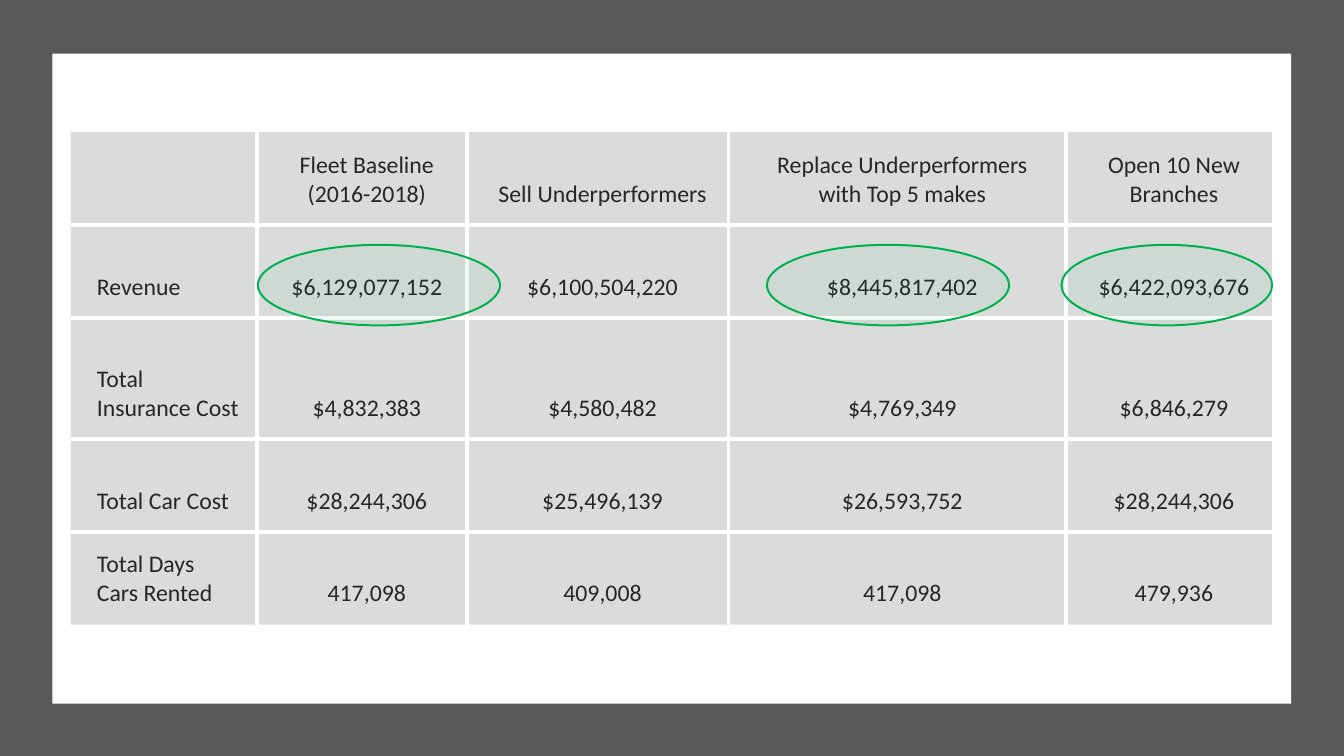
from dataclasses import dataclass

from lxml.etree import SubElement
from pptx import Presentation
from pptx.dml.color import RGBColor
from pptx.enum.shapes import MSO_SHAPE as Preset
from pptx.enum.text import MSO_ANCHOR as Anchor, PP_ALIGN as Align
from pptx.oxml import parse_xml
from pptx.oxml.ns import nsdecls, qn
from pptx.util import Cm, Pt

WHITE = "FFFFFF"
FRAME_GREY = "595959"
CELL_GREY = "878E8B"
TEXT_GREY = "262626"
GREEN = "00B050"

SLIDE_WIDTH, SLIDE_HEIGHT = 33.87, 19.05
TABLE_LEFT, TABLE_TOP = 1.78, 3.33
COLUMN_WIDTHS = [4.7, 5.28, 6.6, 8.51, 5.18]
ROW_HEIGHTS = [2.34, 2.34, 3.05, 2.34, 2.34]
ROWS = [
    ["", "Fleet Baseline (2016-2018)", "Sell Underperformers",
     "Replace Underperformers with Top 5 makes", "Open 10 New Branches"],
    ["Revenue", "$6,129,077,152", "$6,100,504,220", "$8,445,817,402", "$6,422,093,676"],
    ["Total Insurance Cost", "$4,832,383", "$4,580,482", "$4,769,349", "$6,846,279"],
    ["Total Car Cost", "$28,244,306", "$25,496,139", "$26,593,752", "$28,244,306"],
    ["Total Days Cars Rented", "417,098", "409,008", "417,098", "479,936"],
]


@dataclass
class Block:
    preset: Preset
    left: float
    top: float
    width: float
    height: float
    fill: str
    opacity: int = 100
    line: str = ""


def revenue_highlight(left: float, width: float) -> Block:
    return Block(Preset.OVAL, left, 6.17, width, 2.03, GREEN, 5, GREEN)


PANELS = [
    Block(Preset.RECTANGLE, 0, 0, SLIDE_WIDTH, SLIDE_HEIGHT, FRAME_GREY),
    Block(Preset.RECTANGLE, 1.32, 1.35, 31.22, 16.38, WHITE),
]
HIGHLIGHTS = [
    revenue_highlight(6.5, 6.1),
    revenue_highlight(19.33, 6.1),
    revenue_highlight(26.75, 5.31),
]


def color(value: str) -> RGBColor:
    return RGBColor.from_string(value)


def set_opacity(properties, percent: int) -> None:
    fill_color = properties.find(qn("a:solidFill")).find(qn("a:srgbClr"))
    SubElement(fill_color, qn("a:alpha"), val=str(percent * 1000))


def draw_block(slide, block: Block) -> None:
    shape = slide.shapes.add_shape(
        block.preset, Cm(block.left), Cm(block.top), Cm(block.width), Cm(block.height))
    shape.shadow.inherit = False
    shape.fill.solid()
    shape.fill.fore_color.rgb = color(block.fill)
    if block.opacity < 100:
        set_opacity(shape.element.spPr, block.opacity)
    if block.line:
        shape.line.color.rgb = color(block.line)
        shape.line.width = Pt(1.42)
    else:
        shape.line.fill.background()


def set_borders(properties, row: int, column: int) -> None:
    inner_sides = {
        "lnL": column > 0,
        "lnR": column < len(COLUMN_WIDTHS) - 1,
        "lnT": row > 0,
        "lnB": row < len(ROW_HEIGHTS) - 1,
    }
    for index, (side, inner) in enumerate(inner_sides.items()):
        paint = (f'<a:solidFill><a:srgbClr val="{WHITE}"/></a:solidFill>'
                 if inner else "<a:noFill/>")
        properties.insert(index, parse_xml(
            f'<a:{side} {nsdecls("a")} w="{Pt(3)}">{paint}</a:{side}>'))


def format_cell(cell, text: str, row: int, column: int) -> None:
    cell.fill.solid()
    cell.fill.fore_color.rgb = color(CELL_GREY)
    properties = cell._tc.get_or_add_tcPr()
    set_opacity(properties, 30)
    set_borders(properties, row, column)
    cell.vertical_anchor = Anchor.BOTTOM
    cell.margin_left = Cm(0.66)
    cell.margin_right = cell.margin_top = cell.margin_bottom = Cm(0.41)
    cell.text_frame.text = text
    paragraph = cell.text_frame.paragraphs[0]
    paragraph.alignment = Align.CENTER if column else Align.LEFT
    paragraph.font.size = Pt(17)
    for run in paragraph.runs:
        run.font.name = "Calibri"
        run.font.size = Pt(17)
        run.font.bold = False
        run.font.color.rgb = color(TEXT_GREY)


def draw_table(slide) -> None:
    table = slide.shapes.add_table(
        len(ROWS), len(COLUMN_WIDTHS), Cm(TABLE_LEFT), Cm(TABLE_TOP),
        Cm(sum(COLUMN_WIDTHS)), Cm(sum(ROW_HEIGHTS))).table
    table.first_row = False
    table.horz_banding = False
    for column, width in zip(table.columns, COLUMN_WIDTHS):
        column.width = Cm(width)
    for row, height in zip(table.rows, ROW_HEIGHTS):
        row.height = Cm(height)
    for row_index, texts in enumerate(ROWS):
        for column_index, text in enumerate(texts):
            format_cell(table.cell(row_index, column_index), text, row_index, column_index)


def main() -> None:
    presentation = Presentation()
    presentation.slide_width = Cm(SLIDE_WIDTH)
    presentation.slide_height = Cm(SLIDE_HEIGHT)
    slide = presentation.slides.add_slide(presentation.slide_layouts[6])
    for panel in PANELS:
        draw_block(slide, panel)
    draw_table(slide)
    for highlight in HIGHLIGHTS:
        draw_block(slide, highlight)
    presentation.save("out.pptx")


if __name__ == "__main__":
    main()
